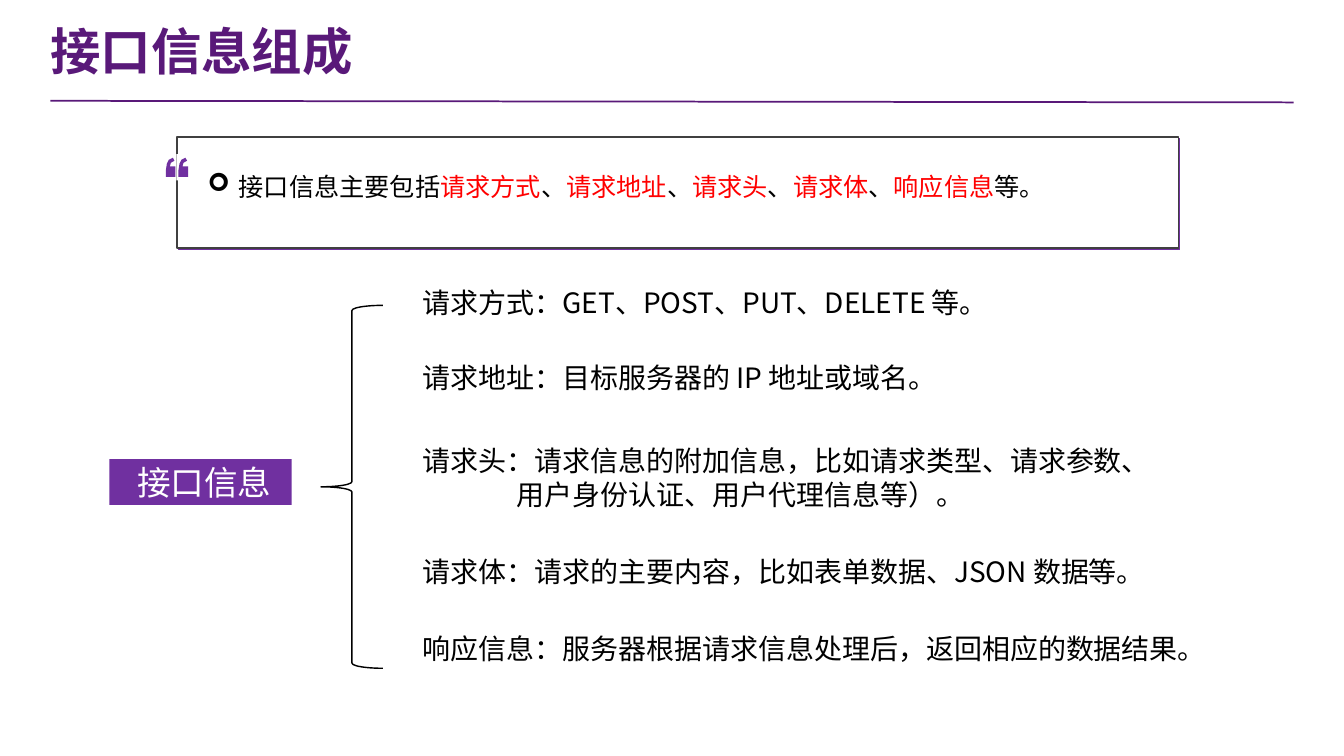
from typing import NamedTuple

from lxml import etree
from pptx import Presentation
from pptx.dml.color import RGBColor
from pptx.enum.shapes import MSO_CONNECTOR, MSO_SHAPE
from pptx.enum.text import MSO_ANCHOR as Anchor, PP_ALIGN as Align
from pptx.oxml.ns import qn
from pptx.util import Cm, Pt

CJK = "Noto Sans CJK SC"
PURPLE, DEEP_PURPLE = "7030A0", "591979"
BLACK, WHITE, RED, GREY = "000000", "FFFFFF", "FF0000", "404040"


class Box(NamedTuple):
    left: float
    top: float
    width: float
    height: float

    def lengths(self) -> list:
        return [Cm(value) for value in self]


class Detail(NamedTuple):
    top: float
    width: float
    lines: list


DETAILS = [
    Detail(14.25, 35.26, ["请求方式：GET、POST、PUT、DELETE 等。"]),
    Detail(18.06, 34.49, ["请求地址：目标服务器的 IP 地址或域名。"]),
    Detail(22.23, 37.82, ["请求头：请求信息的附加信息，比如请求类型、请求参数、",
                          "用户身份认证、用户代理信息等）。"]),
    Detail(27.84, 38.18, ["请求体：请求的主要内容，比如表单数据、JSON 数据等。"]),
    Detail(31.72, 41.45, ["响应信息：服务器根据请求信息处理后，返回相应的数据结果。"]),
]
DETAIL_INDENTS = [0.31, 5.05]
KEY_PARTS = ["请求方式", "请求地址", "请求头", "请求体", "响应信息"]

# One quotation mark, in hundredths of an inch
QUOTE_MARK = [(19, 38), (0, 38), (0, 25), (2, 12), (6, 4), (14, 0),
              (17, 6), (10, 10), (8, 17), (19, 17)]
QUOTE_GAP = 25


def rgb(value: str) -> RGBColor:
    return RGBColor.from_string(value)


def paint(shape, fill=None, line=None, weight=1.0):
    shape.shadow.inherit = False
    if fill:
        shape.fill.solid()
        shape.fill.fore_color.rgb = rgb(fill)
    else:
        shape.fill.background()
    if line:
        shape.line.color.rgb = rgb(line)
        shape.line.width = Pt(weight)
    else:
        shape.line.fill.background()


def add_preset(slide, kind, box: Box, **style):
    shape = slide.shapes.add_shape(kind, *box.lengths())
    paint(shape, **style)
    return shape


def write(paragraph, text: str, *, size: float, color=BLACK, font=CJK, bold=False):
    run = paragraph.add_run()
    run.text = text
    run.font.size, run.font.bold, run.font.name = Pt(size), bold, font
    run.font.color.rgb = rgb(color)
    etree.SubElement(run.font._element, qn("a:ea")).set("typeface", CJK)


def indent(paragraph, margin: float, first: float = 0):
    properties = paragraph._p.get_or_add_pPr()
    properties.set("marL", str(Cm(margin)))
    properties.set("indent", str(Cm(first)))
    return properties


def add_frame(slide, box: Box, inset=None, anchor=Anchor.TOP):
    frame = slide.shapes.add_textbox(*box.lengths()).text_frame
    frame.word_wrap = True
    frame.vertical_anchor = anchor
    if inset is not None:
        frame.margin_left = frame.margin_right = Cm(inset)
        frame.margin_top = frame.margin_bottom = Cm(inset)
    return frame


def add_hard_shadow(shape, color: str):
    effects = shape._element.spPr.find(qn("a:effectLst"))
    shadow = etree.SubElement(effects, qn("a:outerShdw"), blurRad="0",
                              dist=str(Pt(3)), dir="2700000", algn="tl",
                              rotWithShape="0")
    etree.SubElement(shadow, qn("a:srgbClr"), val=color)


def add_title(slide):
    title = add_frame(slide, Box(2.54, 0.84, 16.89, 3.38), 0, Anchor.MIDDLE)
    write(title.paragraphs[0], "接口信息组成", size=72, color=DEEP_PURPLE,
          font="Arial", bold=True)
    rule = slide.shapes.add_connector(MSO_CONNECTOR.STRAIGHT, Cm(2.54), Cm(5.08),
                                      Cm(65.2), Cm(5.16))
    rule.line.color.rgb = rgb(DEEP_PURPLE)
    rule.line.width = Pt(2.5)
    etree.SubElement(rule._element.spPr, qn("a:effectLst"))


def add_quote_marks(slide):
    marks = [[(x + shift, y) for x, y in QUOTE_MARK] for shift in (QUOTE_GAP, 0)]
    builder = slide.shapes.build_freeform(*marks[0][0], scale=Cm(0.0254))
    builder.add_line_segments(marks[0][1:], close=True)
    builder.move_to(*marks[1][0])
    builder.add_line_segments(marks[1][1:], close=True)
    paint(builder.convert_to_shape(Cm(8.36), Cm(7.95)), fill=PURPLE)


def add_summary(slide):
    card = add_preset(slide, MSO_SHAPE.RECTANGLE, Box(8.92, 6.91, 50.47, 5.59),
                      fill=WHITE, line=GREY, weight=1.75)
    add_hard_shadow(card, PURPLE)
    add_preset(slide, MSO_SHAPE.RECTANGLE, Box(8.89, 7.77, 0.61, 1.32), fill=WHITE)
    add_quote_marks(slide)

    summary = add_frame(slide, Box(10.26, 8.41, 47.55, 2.31), 0.2).paragraphs[0]
    properties = indent(summary, 1.57, -1.57)
    etree.SubElement(properties, qn("a:buFont"), typeface="Wingdings")
    etree.SubElement(properties, qn("a:buChar"), char="➢")
    write(summary, "接口信息主要包括", size=36)
    for part in KEY_PARTS:
        write(summary, part, size=36, color=RED)
        write(summary, "等。" if part == KEY_PARTS[-1] else "、", size=36)


def add_breakdown(slide):
    add_preset(slide, MSO_SHAPE.LEFT_BRACE, Box(16.18, 15.39, 3.12, 18.29),
               line=BLACK, weight=2)
    label = add_preset(slide, MSO_SHAPE.RECTANGLE, Box(5.51, 23.14, 9.19, 2.31),
                       fill=PURPLE)
    label.text_frame.vertical_anchor = Anchor.MIDDLE
    heading = label.text_frame.paragraphs[0]
    heading.alignment = Align.CENTER
    indent(heading, 0.38)
    write(heading, "接口信息", size=48, color=WHITE)

    for detail in DETAILS:
        height = 0.24 + 1.72 * len(detail.lines)
        frame = add_frame(slide, Box(20.75, detail.top, detail.width, height))
        for number, line in enumerate(detail.lines):
            paragraph = frame.add_paragraph() if number else frame.paragraphs[0]
            indent(paragraph, DETAIL_INDENTS[number])
            write(paragraph, line, size=40)


def main():
    deck = Presentation()
    deck.slide_width, deck.slide_height = Cm(67.74), Cm(38.1)
    slide = deck.slides.add_slide(deck.slide_layouts[6])
    add_summary(slide)
    add_breakdown(slide)
    add_title(slide)
    deck.save("out.pptx")


if __name__ == "__main__":
    main()
